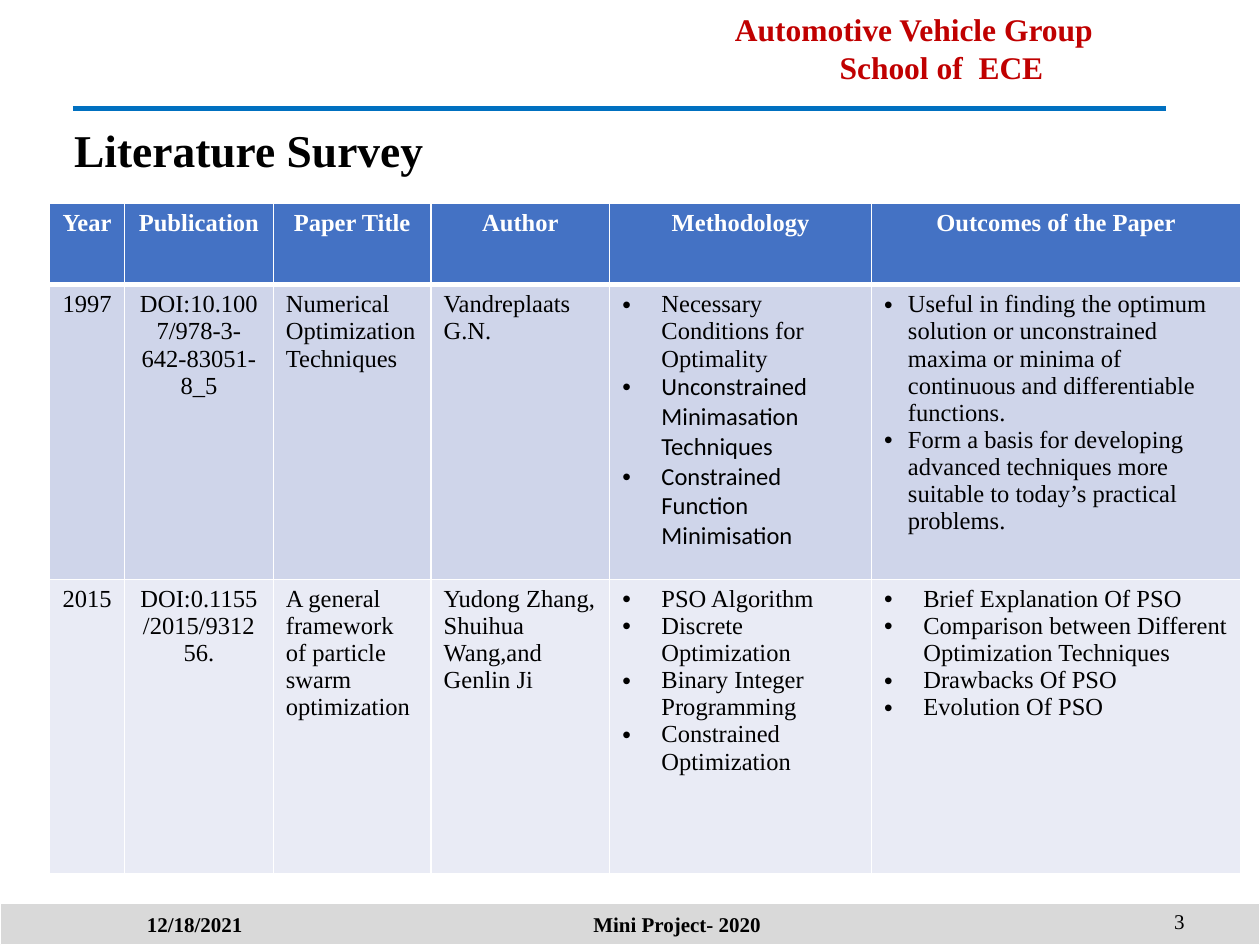
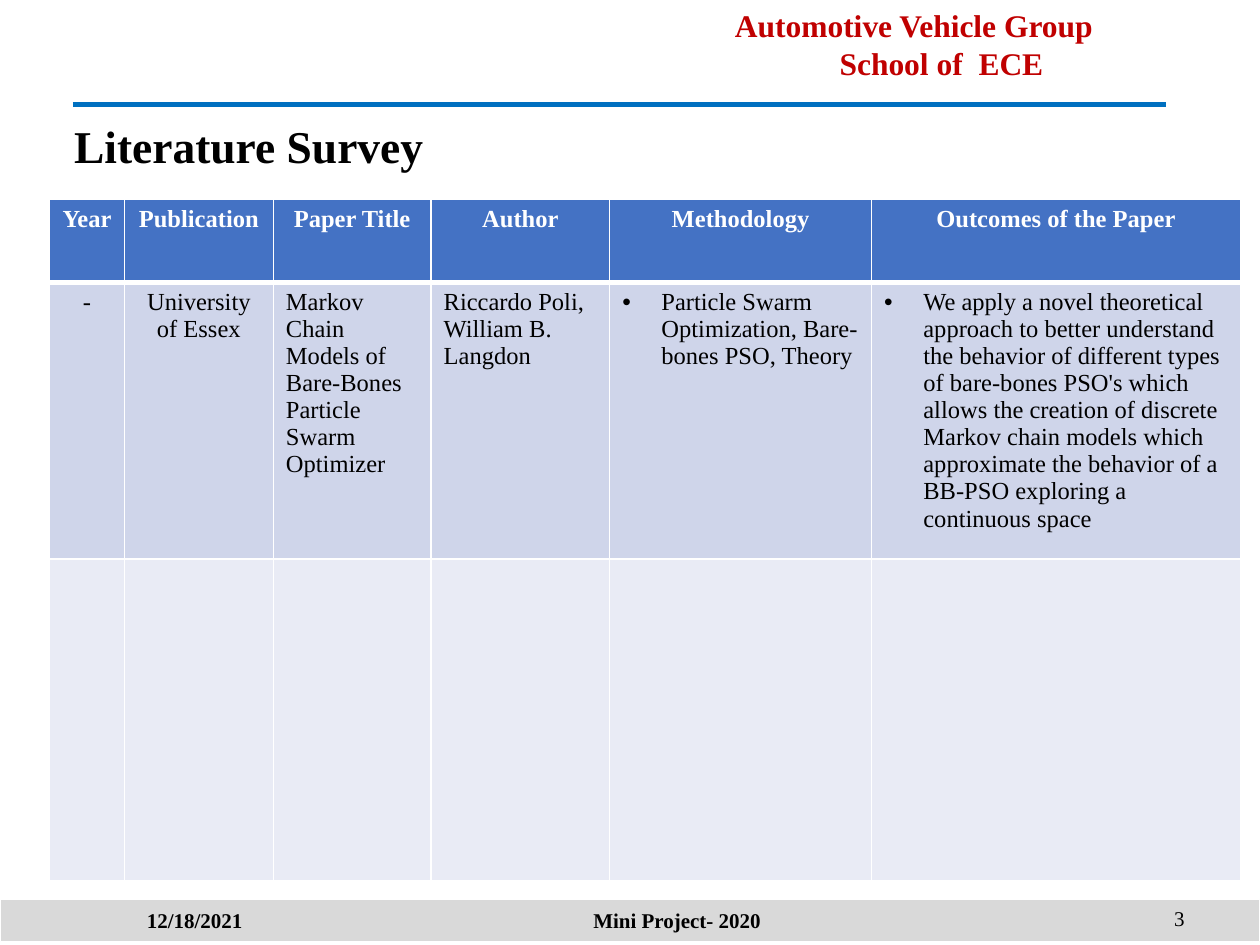
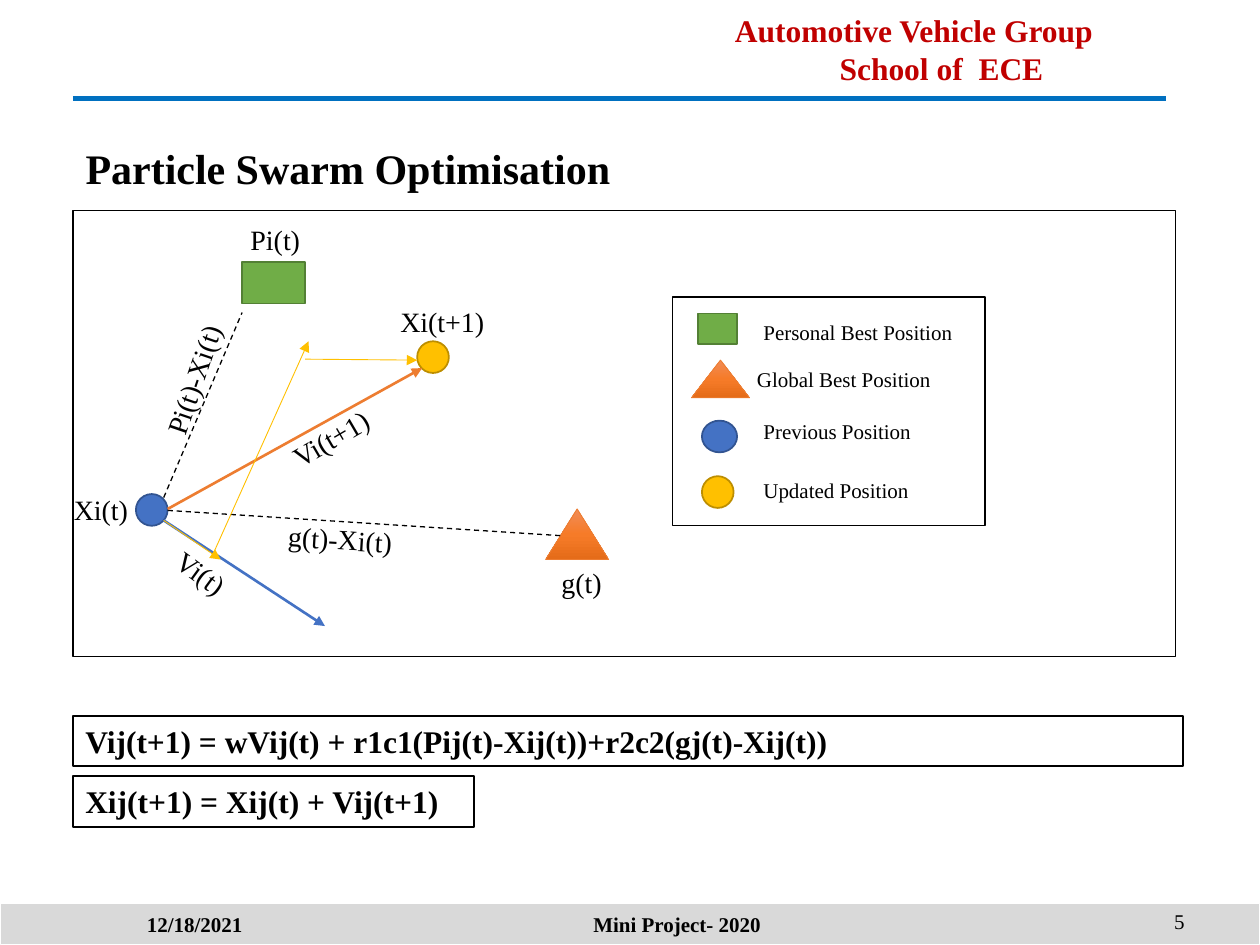
from copy import deepcopy
from dataclasses import dataclass

from lxml import etree
from pptx import Presentation
from pptx.dml.color import RGBColor
from pptx.enum.dml import MSO_LINE
from pptx.enum.shapes import MSO_CONNECTOR, MSO_SHAPE
from pptx.enum.text import MSO_ANCHOR, MSO_AUTO_SIZE, PP_ALIGN
from pptx.oxml.ns import qn
from pptx.util import Cm, Pt

LEFT, CENTER, RIGHT = PP_ALIGN.LEFT, PP_ALIGN.CENTER, PP_ALIGN.RIGHT
TOP, MIDDLE = MSO_ANCHOR.TOP, MSO_ANCHOR.MIDDLE
NO_AUTOFIT = MSO_AUTO_SIZE.NONE
STRAIGHT = MSO_CONNECTOR.STRAIGHT
RECTANGLE, ELLIPSE = MSO_SHAPE.RECTANGLE, MSO_SHAPE.OVAL
TRIANGLE = MSO_SHAPE.ISOSCELES_TRIANGLE
DASH = MSO_LINE.DASH

BLACK = RGBColor(0x00, 0x00, 0x00)
WHITE = RGBColor(0xFF, 0xFF, 0xFF)
CRIMSON = RGBColor(0xC0, 0x00, 0x00)
RULE_BLUE = RGBColor(0x00, 0x70, 0xC0)
BAND_GREY = RGBColor(0xD9, 0xD9, 0xD9)
BLUE = RGBColor(0x44, 0x72, 0xC4)
DARK_BLUE = RGBColor(0x32, 0x54, 0x91)
GREEN = RGBColor(0x70, 0xAD, 0x47)
DARK_GREEN = RGBColor(0x53, 0x80, 0x35)
GOLD = RGBColor(0xFF, 0xC0, 0x00)
DARK_GOLD = RGBColor(0xBD, 0x8E, 0x00)
ORANGE = RGBColor(0xED, 0x7D, 0x31)
ORANGE_BLEND = (
    (0, RGBColor(0xF1, 0x8C, 0x57)),
    (0.5, RGBColor(0xF6, 0x7B, 0x28)),
    (1, RGBColor(0xE5, 0x6C, 0x19)),
)
ROW_FILLS = (BLUE, RGBColor(0xCF, 0xD5, 0xEA), RGBColor(0xE9, 0xEB, 0xF5))

SERIF, SANS = "Times New Roman", "Calibri"
HEADER_FONT = {"name": SERIF, "size": Pt(18), "bold": True}
FOOTER_FONT = {"name": SERIF, "size": Pt(12), "bold": True}
SMALL_FONT = {"name": SERIF, "size": Pt(12), "bold": False}
LABEL_FONT = {"name": SERIF, "size": Pt(16), "bold": False}
CELL_FONT = {"name": SERIF, "size": Pt(14), "bold": False}

SURVEY_HEADINGS = ("Year", "Publication", "Paper Title", "Author",
                   "Methodology", "Outcomes of the Paper")
SURVEY_WIDTHS = (1.51, 3, 3.18, 3.6, 5.28, 7.44)
CENTERED_COLUMNS = 2

PERSONAL_BEST = (RECTANGLE, GREEN, DARK_GREEN, 1)
GLOBAL_BEST = (TRIANGLE, ORANGE_BLEND, ORANGE, 0.5)
PREVIOUS = (ELLIPSE, BLUE, DARK_BLUE, 1)
UPDATED = (ELLIPSE, GOLD, DARK_GOLD, 1)


@dataclass
class Bullets:
    items: tuple
    indent: float = 0.79
    sans_from: int = 99


def apply_formats(target, formats):
    for attribute, value in formats.items():
        setattr(target, attribute, value)


def format_text(paragraph, font, color=BLACK, align=LEFT):
    paragraph.alignment = align
    apply_formats(paragraph.font, font)
    paragraph.font.color.rgb = color


def fill_frame(frame, lines, font, color=BLACK, align=LEFT, anchor=TOP):
    apply_formats(frame, {"word_wrap": True, "auto_size": NO_AUTOFIT,
                          "vertical_anchor": anchor})
    frame.text = "\n".join(lines)
    for paragraph in frame.paragraphs:
        format_text(paragraph, font, color, align)


def add_text(slide, box, lines, font, color=BLACK, align=LEFT, anchor=TOP,
             rotation=0):
    label = slide.shapes.add_textbox(*map(Cm, box))
    label.rotation = rotation
    fill_frame(label.text_frame, lines, font, color, align, anchor)
    return label.text_frame


def add_figure(slide, box, preset, fill, line, width):
    figure = slide.shapes.add_shape(preset, *map(Cm, box))
    figure.shadow.inherit = False
    if fill is None:
        figure.fill.background()
    elif isinstance(fill, RGBColor):
        figure.fill.solid()
        figure.fill.fore_color.rgb = fill
    else:
        blend_fill(figure, fill)
    figure.line.color.rgb = line
    figure.line.width = Pt(width)
    return figure


def blend_fill(figure, blend):
    figure.fill.gradient()
    figure.fill.gradient_angle = 270
    stops = figure._element.spPr.find(".//" + qn("a:gsLst"))
    stops.insert(1, deepcopy(stops[0]))
    for stop, (position, color) in zip(figure.fill.gradient_stops, blend):
        stop.position = position
        stop.color.rgb = color


def add_line(slide, start, end, color, width, dash=None, arrow=False):
    line = slide.shapes.add_connector(STRAIGHT, *map(Cm, start + end))
    line.line.color.rgb = color
    line.line.width = Pt(width)
    if dash:
        line.line.dash_style = dash
    properties = line._element.spPr
    if arrow:
        etree.SubElement(properties.find(qn("a:ln")), qn("a:tailEnd"),
                         type="triangle")
    etree.SubElement(properties, qn("a:effectLst"))


def add_title(slide, text, box, size):
    title = slide.shapes.title
    places = ("left", "top", "width", "height")
    apply_formats(title, dict(zip(places, map(Cm, box))))
    fill_frame(title.text_frame, [text],
               {"name": SERIF, "size": Pt(size), "bold": True})


def add_furniture(slide, number, header_top, rule_y, band_top):
    header = add_text(slide, (13.13, header_top, 10.59, 1.75),
                      ["Automotive Vehicle Group", "School of  ECE"],
                      HEADER_FONT, CRIMSON, CENTER)
    header.paragraphs[1]._p.get_or_add_pPr().set("marL", str(Cm(1.11)))
    add_line(slide, (1.47, rule_y), (23.5, rule_y), RULE_BLUE, 3)
    add_figure(slide, (0, band_top, 25.4, 0.84), RECTANGLE, BAND_GREY,
               WHITE, 0.5)
    for text, left, width, rise, font, align in (
        ("12/18/2021", 0.43, 6.99, 0.1, FOOTER_FONT, CENTER),
        ("Mini Project- 2020", 8.99, 9.32, 0.1, FOOTER_FONT, CENTER),
        (number, 18.41, 5.72, 0.15, SMALL_FONT, RIGHT),
    ):
        add_text(slide, (left, band_top - rise, width, 1.02), [text], font,
                 align=align, anchor=MIDDLE)


def set_borders(cell, top, bottom):
    properties = cell._tc.get_or_add_tcPr()
    for side, width in (("L", 1), ("R", 1), ("T", top), ("B", bottom)):
        border = etree.SubElement(properties, qn("a:ln" + side),
                                  w=str(Pt(width)))
        solid = etree.SubElement(border, qn("a:solidFill"))
        etree.SubElement(solid, qn("a:srgbClr"), val=str(WHITE))


def add_bullet(paragraph, indent):
    properties = paragraph._p.get_or_add_pPr()
    properties.set("marL", str(Cm(indent)))
    properties.set("indent", str(-Cm(indent)))
    etree.SubElement(properties, qn("a:buFont"), typeface="Arial")
    etree.SubElement(properties, qn("a:buChar"), char="•")


def fill_bullets(frame, bullets):
    frame.text = "\n".join(bullets.items)
    for index, paragraph in enumerate(frame.paragraphs):
        add_bullet(paragraph, bullets.indent)
        name = SANS if index >= bullets.sans_from else SERIF
        format_text(paragraph, {**CELL_FONT, "name": name})


def fill_cell(cell, content, row, column):
    set_borders(cell, 3 if row == 1 else 1, 3 if row == 0 else 1)
    cell.fill.solid()
    cell.fill.fore_color.rgb = ROW_FILLS[row]
    if isinstance(content, Bullets):
        fill_bullets(cell.text_frame, content)
        return
    heading = row == 0
    cell.text_frame.text = content
    for paragraph in cell.text_frame.paragraphs:
        format_text(paragraph, {**CELL_FONT, "bold": heading},
                    WHITE if heading else BLACK,
                    CENTER if heading or column < CENTERED_COLUMNS else LEFT)


def add_survey(slide, top, heights, papers):
    rows = (SURVEY_HEADINGS, *papers)
    survey = slide.shapes.add_table(
        len(rows), len(SURVEY_HEADINGS), Cm(1), Cm(top),
        Cm(sum(SURVEY_WIDTHS)), Cm(sum(heights))).table
    for column, width in zip(survey.columns, SURVEY_WIDTHS):
        column.width = Cm(width)
    for row, height in zip(survey.rows, heights):
        row.height = Cm(height)
    for row, contents in enumerate(rows):
        for column, content in enumerate(contents):
            fill_cell(survey.cell(row, column), content, row, column)


def build_first_survey(slide):
    add_furniture(slide, "3", 0.08, 2.18, 18.21)
    add_title(slide, "Literature Survey", (1.24, 2.34, 7.62, 1.37), 26)
    add_survey(slide, 4.09, (1.65, 5.94, 5.94), (
        ("1997", "DOI:10.1007/978-3-642-83051-8_5",
         "Numerical Optimization Techniques", "Vandreplaats G.N.",
         Bullets(("Necessary Conditions for Optimality",
                  "Unconstrained Minimasation Techniques",
                  "Constrained Function Minimisation"), sans_from=1),
         Bullets(("Useful in finding the optimum solution or unconstrained "
                  "maxima or minima of continuous and differentiable "
                  "functions.",
                  "Form a basis for developing advanced techniques more "
                  "suitable to today’s practical problems."), indent=0.48)),
        ("2015", "DOI:0.1155/2015/931256.",
         "A general framework of particle swarm optimization",
         "Yudong Zhang, Shuihua Wang,and Genlin Ji",
         Bullets(("PSO Algorithm", "Discrete Optimization",
                  "Binary Integer Programming", "Constrained Optimization")),
         Bullets(("Brief Explanation Of PSO",
                  "Comparison between Different Optimization Techniques",
                  "Drawbacks Of PSO", "Evolution Of PSO"))),
    ))


def build_second_survey(slide):
    add_furniture(slide, "3", 0, 2.11, 18.14)
    add_title(slide, "Literature Survey", (1.24, 2.26, 7.62, 1.37), 26)
    add_survey(slide, 4.01, (1.68, 5.58, 6.48), (
        ("-", "University of Essex",
         "Markov Chain Models of Bare-Bones Particle Swarm Optimizer",
         "Riccardo Poli,\nWilliam B. Langdon",
         Bullets(("Particle Swarm Optimization, Bare-bones PSO, Theory",)),
         Bullets(("We apply a novel theoretical approach to better understand "
                  "the behavior of different types of bare-bones PSO's which "
                  "allows the creation of discrete Markov chain models which "
                  "approximate the behavior of a BB-PSO exploring a "
                  "continuous space",))),
        ("",) * len(SURVEY_HEADINGS),
    ))


def draw_vectors(slide):
    for start, end in (((3.3, 10.03), (4.88, 6.3)),
                       ((3.38, 10.29), (11.33, 10.8))):
        add_line(slide, start, end, BLACK, 0.75, dash=DASH)
    for start, end, color, width in (
        ((3.3, 10.49), (6.55, 12.62), BLUE, 1.5),
        ((3.38, 10.26), (8.51, 7.42), ORANGE, 1.5),
        ((3.3, 10.49), (4.45, 11.28), GOLD, 0.5),
        ((4.29, 11.18), (6.22, 6.88), GOLD, 0.5),
        ((6.15, 7.24), (8.41, 7.26), GOLD, 0.5),
    ):
        add_line(slide, start, end, color, width, arrow=True)


def draw_legend(slide):
    for text, marker, box, left, top in (
        ("Personal Best Position", PERSONAL_BEST,
         (14.07, 6.32, 0.79, 0.61), 15.14, 6.32),
        ("Global Best Position", GLOBAL_BEST,
         (13.94, 7.26, 1.17, 0.76), 15.01, 7.26),
        ("Previous Position", PREVIOUS,
         (14.15, 8.48, 0.71, 0.64), 15.14, 8.31),
        ("Updated Position", UPDATED,
         (14.15, 9.6, 0.64, 0.64), 15.14, 9.5),
    ):
        add_figure(slide, box, *marker)
        add_text(slide, (left, top, 6.55, 0.76), [text], SMALL_FONT)


def build_swarm(slide):
    add_furniture(slide, "5", 0.1, 1.98, 18.21)
    add_title(slide, "Particle Swarm Optimisation",
              (1.47, 2.74, 12.07, 1.27), 24)
    for marker, box in (
        (PREVIOUS, (2.74, 9.96, 0.64, 0.64)),
        (PERSONAL_BEST, (4.88, 5.28, 1.27, 0.84)),
        (UPDATED, (8.41, 6.88, 0.64, 0.64)),
        (GLOBAL_BEST, (11, 10.26, 1.27, 1.02)),
    ):
        add_figure(slide, box, *marker)
    draw_vectors(slide)
    for text, left, top, width, rotation in (
        ("Pi(t)-Xi(t)", 2.49, 7.16, 2.84, 288.9),
        ("Xi(t)", 1.24, 9.8, 1.78, 0),
        ("Vi(t)", 3.15, 11.46, 2.84, 36.1),
        ("g(t)-Xi(t)", 5.56, 10.41, 2.84, 3.5),
        ("g(t)", 11.07, 11.28, 2.84, 0),
        ("Xi(t+1)", 7.82, 6.02, 2.84, 0),
        ("Vi(t+1)", 5.54, 8.2, 2.84, 329.7),
        ("Pi(t)", 4.8, 4.37, 1.78, 0),
    ):
        add_text(slide, (left, top, width, 0.94), [text], LABEL_FONT,
                 rotation=rotation)
    for formula, top, width in (
        ("Vij(t+1) = wVij(t) + r1c1(Pij(t)-Xij(t))+r2c2(gj(t)-Xij(t))",
         14.43, 22.38),
        ("Xij(t+1) = Xij(t) + Vij(t+1)", 15.65, 8.08),
    ):
        panel = add_figure(slide, (1.47, top, width, 1.02), RECTANGLE,
                           WHITE, BLACK, 1)
        fill_frame(panel.text_frame, [formula], HEADER_FONT)
    draw_legend(slide)
    for frame in ((13.56, 5.99, 6.3, 4.6), (1.47, 4.24, 22.23, 8.99)):
        add_figure(slide, frame, RECTANGLE, None, BLACK, 0.75)


def main():
    deck = Presentation()
    deck.slide_width, deck.slide_height = Cm(25.4), Cm(19.05)
    title_only = deck.slide_layouts[5]
    for build in (build_first_survey, build_second_survey, build_swarm):
        build(deck.slides.add_slide(title_only))
    deck.save("out.pptx")


if __name__ == "__main__":
    main()
